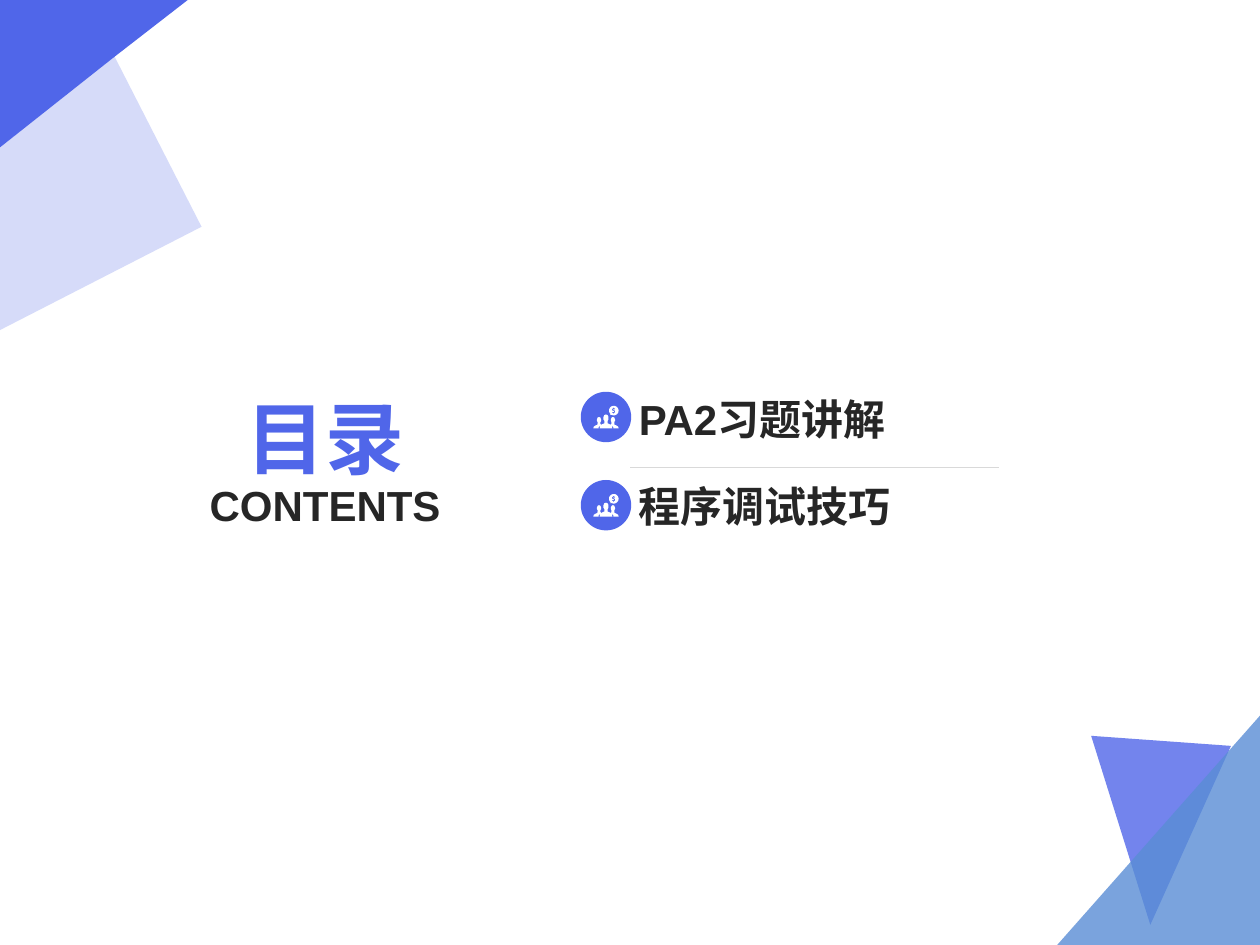
"""Build a contents slide with two topics and corner shapes."""
import dataclasses
import math

import pptx
import pptx.dml.color
import pptx.enum.shapes
import pptx.enum.text
import pptx.oxml
import pptx.oxml.ns
import pptx.util

Inches = pptx.util.Inches
Pt = pptx.util.Pt
Align = pptx.enum.text.PP_ALIGN
Anchor = pptx.enum.text.MSO_ANCHOR


@dataclasses.dataclass(frozen=True)
class Theme:
    blue: str = "5066E9"
    sky: str = "598DD5"
    pale: str = "96A3F2"
    ink: str = "262626"
    rule: str = "D9D9D9"
    white: str = "FFFFFF"
    font: str = "Arial"
    big: int = 45
    mid: int = 24


THEME = Theme()
LEFT, TOP, PITCH, DISC = 4.61, 3.11, 0.7, 0.4
TOPICS = [("PA2习题讲解", 3.54, 0.53), ("程序调试技巧", 2.93, 0.51)]
CORNERS = [
    ([(9.77, 5.92), (9.13, 7.34), (8.66, 5.84)], THEME.blue, 80),
    ([(10, 7.5), (8.39, 7.5), (10, 5.68)], THEME.sky, 80),
    ([(0, 2.62), (1.6, 1.8), (0.91, 0.45), (0, 1.17)], THEME.pale, 39),
    ([(0, 0), (0, 1.17), (0.91, 0.45), (1.49, 0)], THEME.blue, 100),
]
SIDE = [(4.5, 9), (5.5, 9.4), (6.2, 11), (6.2, 12), (5.6, 13), (5.6, 14.5),
        (6.2, 15.2), (5, 16), (4.2, 17), (4.2, 18), (0, 18), (0.2, 16.8),
        (1.5, 15.8), (3.2, 15.2), (3.4, 13), (2.8, 12), (2.8, 11), (3.4, 9.4)]
HALF = [(10, 7), (11.3, 7.5), (12, 9), (12, 11), (11.3, 12), (11.3, 14),
        (13.5, 15), (14.8, 16.2), (15, 18)]
SIGN = [(15.8, 1.5), (16.4, 1.5), (16.4, 2), (17.4, 2.4), (17, 3), (15.8, 2.8),
        (15.8, 3.4), (17.3, 4), (17.4, 5.2), (16.4, 5.9), (16.4, 6.4),
        (15.8, 6.4), (15.8, 5.9), (14.7, 5.5), (15, 4.8), (16.4, 5),
        (16.4, 4.5), (14.9, 3.8), (14.8, 2.6), (15.8, 2)]


def tint(text):
    """Turn a hex string into a colour."""
    return pptx.dml.color.RGBColor.from_string(text)


def paint(shape, color, alpha=100):
    """Give a shape a plain fill with no line or shadow."""
    shape.shadow.inherit = False
    shape.line.fill.background()
    shape.fill.solid()
    shape.fill.fore_color.rgb = tint(color)
    if alpha < 100:
        node = shape.fill._xPr.find(".//" + pptx.oxml.ns.qn("a:srgbClr"))
        mark = pptx.oxml.parse_xml(
            f'<a:alpha {pptx.oxml.ns.nsdecls("a")} val="{alpha * 1000}"/>')
        node.append(mark)


def add_form(slide, loops, color, alpha=100):
    """Draw closed loops of points, in inches, as one shape."""
    pen = None
    for loop in loops:
        spots = [(Inches(x), Inches(y)) for x, y in loop]
        if pen is None:
            pen = slide.shapes.build_freeform(*spots[0])
        else:
            pen.move_to(*spots[0])
        pen.add_line_segments(spots[1:], close=True)
    paint(pen.convert_to_shape(), color, alpha)


def add_icon(slide, left, top):
    """Draw three people and a speech bubble with a dollar sign."""
    flip = [(20 - x, y) for x, y in SIDE]
    body = HALF + [(20 - x, y) for x, y in reversed(HALF[1:])]
    turns = [math.radians(a) for a in range(140, 471, 15)]
    bubble = [(16.2 + 3.8 * math.cos(a), 3.9 + 3.8 * math.sin(a)) for a in turns]
    bubble += [(15, 7.4), (13, 7.4), (14, 6.6)]
    loops = [[(left + x / 100, top + y / 100) for x, y in loop]
             for loop in (SIDE, flip, body, bubble, SIGN)]
    add_form(slide, loops, THEME.white)


def add_text(slide, box, text, size, color, anchor, align=Align.LEFT,
             pads=(0.04, 0), space=None):
    """Add a box with one bold run."""
    frame = slide.shapes.add_textbox(*map(Inches, box)).text_frame
    frame.word_wrap = True
    frame.vertical_anchor = anchor
    frame.margin_left = frame.margin_right = Inches(0.07)
    frame.margin_top, frame.margin_bottom = map(Inches, pads)
    para = frame.paragraphs[0]
    para.alignment = align
    if space:
        para.line_spacing = space
    run = para.add_run()
    run.text = text
    run.font.name = THEME.font
    run.font.size = Pt(size)
    run.font.bold = True
    run.font.color.rgb = tint(color)


def add_topic(slide, row, text, width, height):
    """Add a round icon and its topic."""
    top = TOP + row * PITCH
    oval = pptx.enum.shapes.MSO_SHAPE.OVAL
    disc = slide.shapes.add_shape(
        oval, Inches(LEFT), Inches(top), Inches(DISC), Inches(DISC))
    paint(disc, THEME.blue)
    add_icon(slide, LEFT + 0.1, top + 0.11)
    add_text(slide, (5, top - 0.07, width, height), text, THEME.mid,
             THEME.ink, Anchor.MIDDLE)


def add_rule(slide, left, right, top):
    """Add a thin level line."""
    kind = pptx.enum.shapes.MSO_CONNECTOR.STRAIGHT
    line = slide.shapes.add_connector(
        kind, Inches(left), Inches(top), Inches(right), Inches(top))
    line.line.color.rgb = tint(THEME.rule)
    line.line.width = Pt(0.25)
    line._element.spPr.append(pptx.oxml.parse_xml(
        f'<a:effectLst {pptx.oxml.ns.nsdecls("a")}/>'))


def main():
    """Build and save the slide."""
    deck = pptx.Presentation()
    deck.slide_width, deck.slide_height = Inches(10), Inches(7.5)
    slide = deck.slides.add_slide(deck.slide_layouts[6])
    for loop, color, alpha in CORNERS:
        add_form(slide, [loop], color, alpha)
    add_text(slide, (1.57, 2.9, 2.02, 0.94), "目录", THEME.big, THEME.blue,
             Anchor.BOTTOM, Align.CENTER)
    add_text(slide, (1.57, 3.88, 2.02, 0.41), "CONTENTS", THEME.mid, THEME.ink,
             Anchor.TOP, Align.CENTER, (0, 0.04), 0.8)
    for row, topic in enumerate(TOPICS):
        add_topic(slide, row, *topic)
    add_rule(slide, 5, 7.93, 3.71)
    deck.save("out.pptx")


if __name__ == "__main__":
    main()
